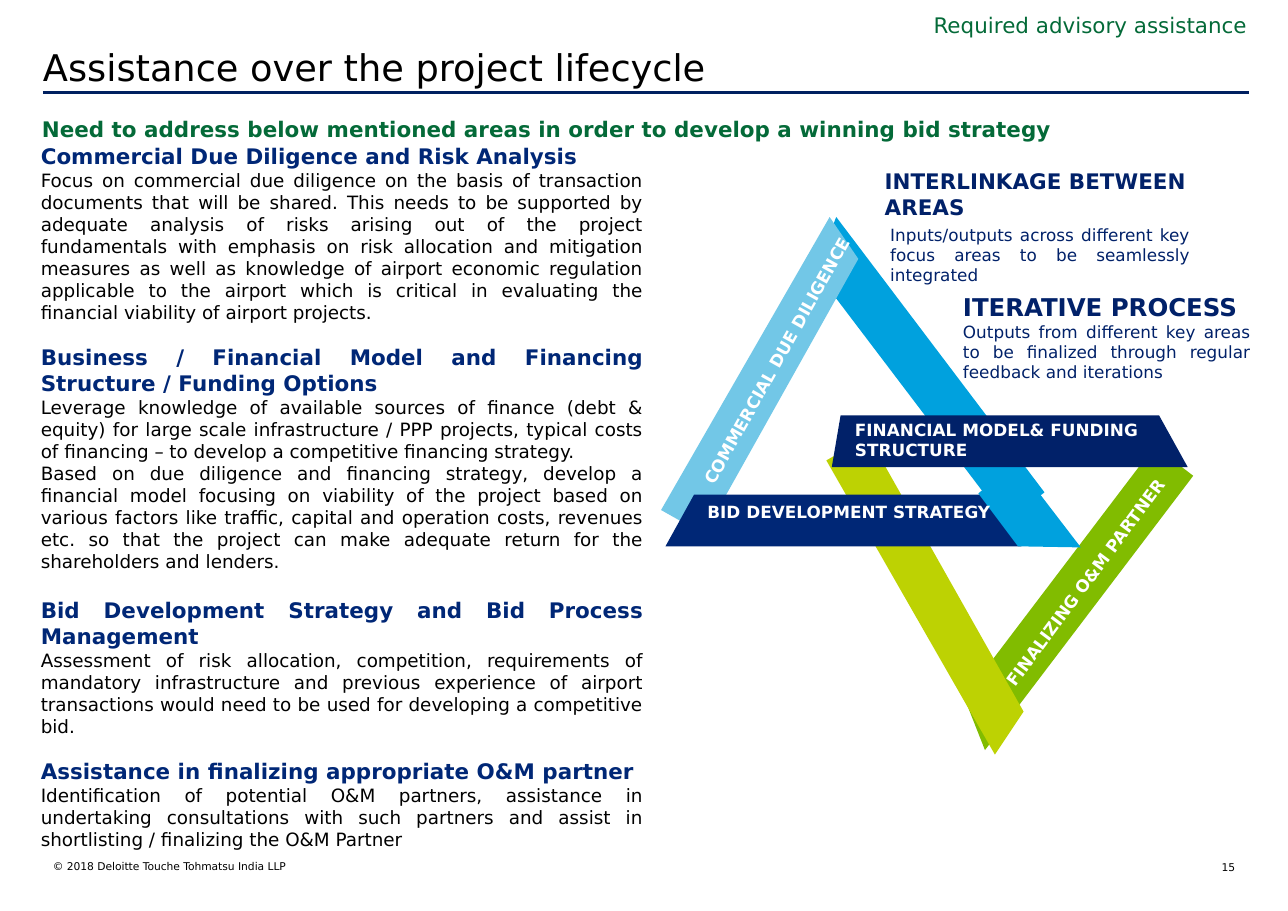
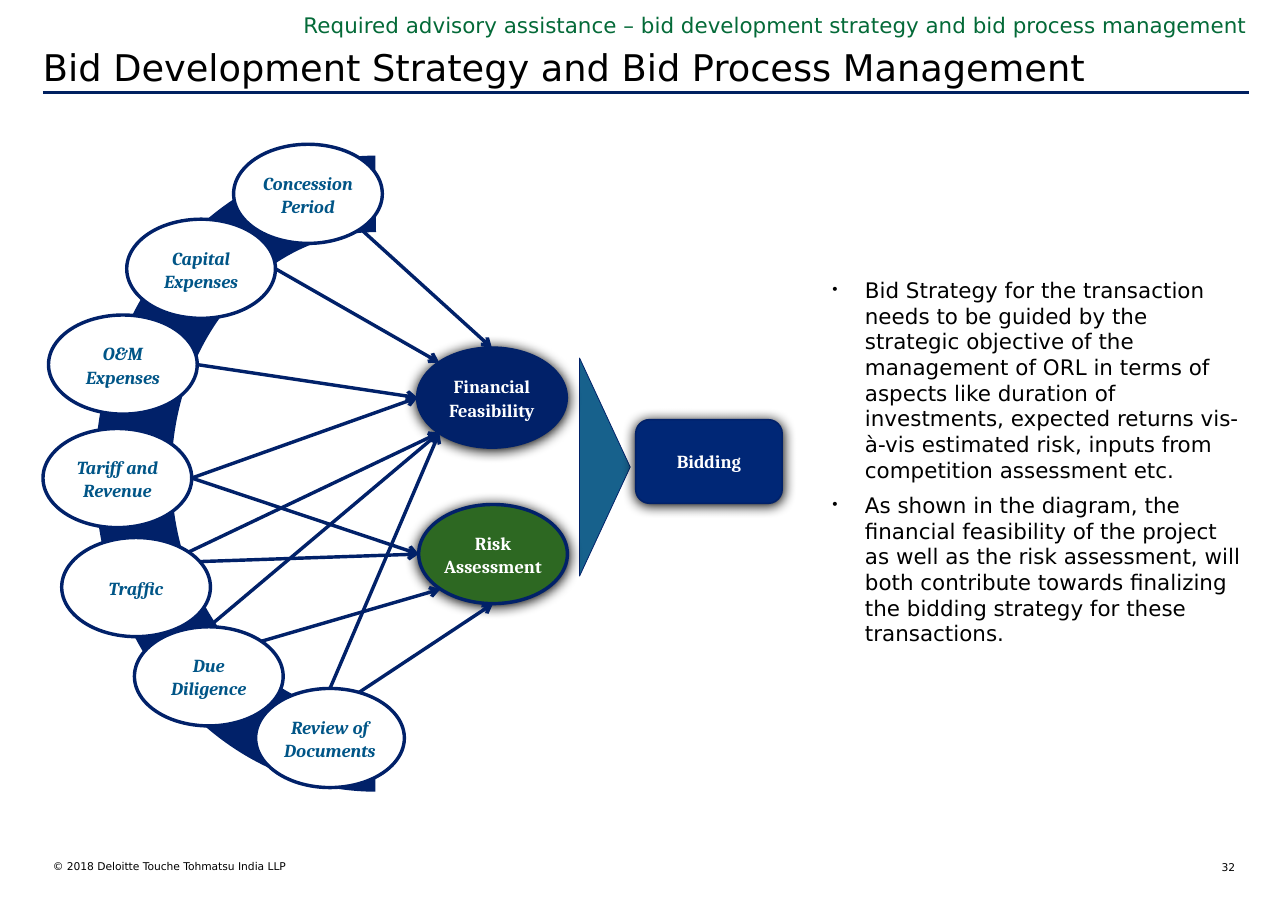
from math import cos, radians, sin

from lxml.etree import SubElement
from pptx import Presentation
from pptx.dml.color import RGBColor
from pptx.enum.shapes import MSO_CONNECTOR, MSO_SHAPE
from pptx.enum.text import MSO_ANCHOR, MSO_AUTO_SIZE, PP_ALIGN
from pptx.oxml.ns import qn
from pptx.util import Pt

PX = 9144  # 100 px to the inch
SANS, SERIF = "DejaVu Sans", "Cambria"

BLACK = RGBColor(0x00, 0x00, 0x00)
WHITE = RGBColor(0xFF, 0xFF, 0xFF)
RULE = RGBColor(0x00, 0x20, 0x60)
NAVY = RGBColor(0x01, 0x21, 0x69)
ROYAL = RGBColor(0x00, 0x27, 0x76)
BLUE = RGBColor(0x00, 0xA1, 0xDE)
SKY = RGBColor(0x72, 0xC7, 0xE7)
TEAL = RGBColor(0x17, 0x61, 0x8C)
INK = RGBColor(0x00, 0x55, 0x87)
FOREST = RGBColor(0x04, 0x6A, 0x38)
MOSS = RGBColor(0x2D, 0x68, 0x22)
GREEN = RGBColor(0x81, 0xBC, 0x00)
LIME = RGBColor(0xBD, 0xD2, 0x03)

# (heading, paragraphs, space before the heading in points)
AREAS = [
    ("Commercial Due Diligence and Risk Analysis",
     ["Focus on commercial due diligence on the basis of transaction documents that will be shared. "
      "This needs to be supported by adequate analysis of risks arising out of the project "
      "fundamentals with emphasis on risk allocation and mitigation measures as well as knowledge "
      "of airport economic regulation applicable to the airport which is critical in evaluating "
      "the financial viability of airport projects."], 0),
    ("Business / Financial Model and Financing Structure / Funding Options",
     ["Leverage knowledge of available sources of finance (debt & equity) for large scale "
      "infrastructure / PPP projects, typical costs of financing – to develop a competitive "
      "financing strategy.",
      "Based on due diligence and financing strategy, develop a financial model focusing on "
      "viability of the project based on various factors like traffic, capital and operation "
      "costs, revenues etc. so that the project can make adequate return for the shareholders "
      "and lenders."], 14),
    ("Bid Development Strategy and Bid Process Management",
     ["Assessment of risk allocation, competition, requirements of mandatory infrastructure and "
      "previous experience of airport transactions would need to be used for developing a "
      "competitive bid."], 16.5),
    ("Assistance in finalizing appropriate O&M partner",
     ["Identification of potential O&M partners, assistance in undertaking consultations with "
      "such partners and assist in shortlisting / finalizing the O&M Partner"], 14),
]

# Ribbons of the two interlocked triangles, from back to front
RIBBONS = [
    (BLUE, [(759, 197), (948, 447), (913, 474), (740, 246)]),
    (SKY, [(600, 463), (753, 197), (779, 235), (639, 485)]),
    (GREEN, [(894, 681), (1083, 432), (1048, 405), (875, 633)]),
    (LIME, [(750, 418), (903, 685), (929, 646), (788, 396)]),
    (ROYAL, [(630, 449), (919, 449), (927, 496), (604, 496)]),
    (BLUE, [(922, 420), (981, 497), (924, 496), (888, 448)]),
    (NAVY, [(1052, 377), (763, 377), (755, 424), (1078, 424)]),
]

# (box, rotation, label)
RIBBON_LABELS = [
    ((570, 305, 284, 18), 299.2, "COMMERCIAL DUE DILIGENCE"),
    ((642, 455, 279, 19), 0, "BID DEVELOPMENT STRATEGY"),
    ((867, 512, 247, 19), 306.6, "FINALIZING O&M PARTNER"),
    ((776, 381, 279, 56), 0, "FINANCIAL MODEL& FUNDING STRUCTURE"),
]

STRATEGY_POINTS = [
    "Bid Strategy for the transaction needs to be guided by the strategic objective of the "
    "management of ORL in terms of aspects like duration of investments, expected returns "
    "vis-à-vis estimated risk, inputs from competition assessment etc.",
    "As shown in the diagram, the financial feasibility of the project as well as the risk "
    "assessment, will both contribute towards finalizing the bidding strategy for these "
    "transactions.",
]

OVAL_W, OVAL_H = 135, 90
INPUTS = {
    "Review of Documents": (232, 625),
    "Due Diligence": (122, 569),
    "Concession Period": (212, 131),
    "Tariff and Revenue": (39, 389),
    "Capital Expenses": (115, 199),
    "O&M Expenses": (44, 286),
    "Traffic": (56, 488),
}
OUTCOMES = {"Financial Feasibility": (379, 316), "Risk Assessment": (380, 458)}
OUTCOME_FILLS = {"Financial Feasibility": NAVY, "Risk Assessment": MOSS}

# (input, angle on its rim, outcome, angle on its rim), clockwise from the right
ARROWS = [
    ("Concession Period", 45, "Financial Feasibility", 270),
    ("Capital Expenses", 0, "Financial Feasibility", 225),
    ("O&M Expenses", 0, "Financial Feasibility", 180),
    ("Tariff and Revenue", 0, "Financial Feasibility", 180),
    ("Traffic", 315, "Financial Feasibility", 135),
    ("Due Diligence", 270, "Financial Feasibility", 135),
    ("Review of Documents", 270, "Financial Feasibility", 135),
    ("Tariff and Revenue", 0, "Risk Assessment", 180),
    ("Traffic", 329, "Risk Assessment", 180),
    ("Due Diligence", 315, "Risk Assessment", 135),
    ("Review of Documents", 293, "Risk Assessment", 90),
]


def emu(values):
    return [round(v * PX) for v in values]


def place(sp, box):
    sp.left, sp.top, sp.width, sp.height = emu(box)


def frame(sp, anchor=MSO_ANCHOR.TOP):
    """Return the shape's text frame, wrapped and without insets."""
    tf = sp.text_frame
    tf.word_wrap = True
    tf.auto_size = MSO_AUTO_SIZE.NONE
    tf.vertical_anchor = anchor
    tf.margin_left = tf.margin_top = tf.margin_right = tf.margin_bottom = 0
    return tf


def write(tf, text, size, color=BLACK, bold=False, italic=False, font=SANS,
          align=PP_ALIGN.LEFT, before=0, spacing=1.0):
    """Append a formatted paragraph, using the first one while it is empty."""
    p = tf.add_paragraph() if tf.text else tf.paragraphs[0]
    p.alignment = align
    p.space_before = Pt(before)
    p.line_spacing = spacing
    r = p.add_run()
    r.text = text
    f = r.font
    f.name, f.size, f.bold, f.italic = font, Pt(size), bold, italic
    f.color.rgb = color
    return p


def set_bullet(p, char=None, indent=0, hang=0):
    """Give a list paragraph its bullet, or none."""
    pPr = p._p.get_or_add_pPr()
    pPr.set("marL", str(indent * PX))
    pPr.set("indent", str(-hang * PX))
    if char:
        SubElement(pPr, qn("a:buSzPct")).set("val", "65000")
        SubElement(pPr, qn("a:buFont")).set("typeface", SANS)
        SubElement(pPr, qn("a:buChar")).set("char", char)
    else:
        SubElement(pPr, qn("a:buNone"))


def add_text(s, box, text, size, rotation=0, **fmt):
    sp = s.shapes.add_textbox(*emu(box))
    sp.rotation = rotation
    tf = frame(sp)
    write(tf, text, size, **fmt)
    return tf


def paint(sp, fill=None, line=None, width=1, glow=False):
    sp.shadow.inherit = False
    if fill is None:
        sp.fill.background()
    else:
        sp.fill.solid()
        sp.fill.fore_color.rgb = fill
    if line is None:
        sp.line.fill.background()
    else:
        sp.line.color.rgb = line
        sp.line.width = Pt(width)
    if glow:
        effects = sp._element.spPr.find(qn("a:effectLst"))
        shadow = SubElement(effects, qn("a:outerShdw"), blurRad=str(Pt(8.5)),
                            dist=str(Pt(1)), dir="5400000", rotWithShape="0")
        SubElement(shadow, qn("a:srgbClr")).set("val", str(BLACK))


def add_shape(s, kind, box, **style):
    sp = s.shapes.add_shape(kind, *emu(box))
    paint(sp, **style)
    return sp


def add_ribbon(s, fill, points):
    builder = s.shapes.build_freeform(*points[0], scale=float(PX))
    builder.add_line_segments(points[1:], close=True)
    paint(builder.convert_to_shape(), fill)


def add_line(s, start, end, color, arrow=False):
    c = s.shapes.add_connector(MSO_CONNECTOR.STRAIGHT, *emu((*start, *end)))
    c.line.color.rgb = color
    c.line.width = Pt(2.25)
    spPr = c._element.spPr
    if arrow:
        SubElement(spPr.find(qn("a:ln")), qn("a:tailEnd")).set("type", "arrow")
    SubElement(spPr, qn("a:effectLst"))


def add_node(s, kind, box, text, fill, color, width=2.25, italic=False, glow=False, spacing=1.06):
    sp = add_shape(s, kind, box, fill=fill, line=NAVY, width=width, glow=glow)
    write(frame(sp, MSO_ANCHOR.MIDDLE), text, 12, color=color, bold=True, italic=italic,
          font=SERIF, align=PP_ALIGN.CENTER, spacing=spacing)


def rim(corner, angle):
    """Return the point of an oval's outline at an angle in degrees."""
    a = radians(angle)
    return (corner[0] + OVAL_W / 2 * (1 + cos(a)), corner[1] + OVAL_H / 2 * (1 + sin(a)))


def add_slide(prs, layout, section, title, page):
    """Add a slide with the section name, title, rule and footer."""
    s = prs.slides.add_slide(layout)
    write(frame(s.shapes.title), title, 24)
    add_text(s, (232, 11, 900, 24), section, 14, color=FOREST, align=PP_ALIGN.RIGHT)
    add_line(s, (39, 84), (1134, 84), RULE)
    add_text(s, (48, 781, 513, 24), "© 2018 Deloitte Touche Tohmatsu India LLP", 7)
    add_text(s, (1091, 781, 30, 12), page, 7, align=PP_ALIGN.RIGHT)
    return s


def build_lifecycle(prs, layout):
    s = add_slide(prs, layout, "Required advisory assistance",
                  "Assistance over the project lifecycle", "15")
    add_text(s, (38, 105, 1100, 24),
             "Need to address below mentioned areas in order to develop a winning bid strategy",
             14, color=FOREST, bold=True)

    body = s.placeholders[1]
    place(body, (37, 130, 547, 670))
    tf = frame(body)
    for heading, paragraphs, gap in AREAS:
        set_bullet(write(tf, heading, 14, color=ROYAL, bold=True,
                         align=PP_ALIGN.JUSTIFY, before=gap))
        for text in paragraphs:
            set_bullet(write(tf, text, 12, align=PP_ALIGN.JUSTIFY))

    for fill, points in RIBBONS:
        add_ribbon(s, fill, points)
    for box, rotation, label in RIBBON_LABELS:
        add_text(s, box, label, 11, rotation, color=WHITE, bold=True)

    add_text(s, (803, 153, 286, 47), "INTERLINKAGE BETWEEN AREAS", 14, color=NAVY, bold=True)
    add_text(s, (808, 204, 272, 56),
             "Inputs/outputs across different key focus areas to be seamlessly integrated",
             11, color=NAVY, align=PP_ALIGN.JUSTIFY)
    tf = add_text(s, (874, 265, 261, 82), "ITERATIVE PROCESS", 16, color=NAVY, bold=True)
    write(tf, "Outputs from different key areas to be finalized through regular feedback and "
          "iterations", 11, color=NAVY, align=PP_ALIGN.JUSTIFY)


def build_bid_strategy(prs, layout):
    s = add_slide(prs, layout,
                  "Required advisory assistance – bid development strategy and bid process management",
                  "Bid Development Strategy and Bid Process Management", "32")
    body = s.placeholders[1]
    place(body, (744, 244, 385, 350))
    tf = frame(body, MSO_ANCHOR.MIDDLE)
    for i, point in enumerate(STRATEGY_POINTS):
        set_bullet(write(tf, point, 14, before=6 if i else 0), "•", 41, 31)

    arc = add_shape(s, MSO_SHAPE.ARC, (121, 176, 440, 508), line=NAVY, width=50)
    arc.adjustments[0], arc.adjustments[1] = 54, 162  # 90 and 270 degrees
    funnel = add_shape(s, MSO_SHAPE.ISOSCELES_TRIANGLE, (450, 401, 198, 46),
                       fill=TEAL, line=NAVY, width=0.5)
    funnel.rotation = 90

    for name, corner in INPUTS.items():
        add_node(s, MSO_SHAPE.OVAL, (*corner, OVAL_W, OVAL_H), name, WHITE, INK, italic=True)
    for name, corner in OUTCOMES.items():
        add_node(s, MSO_SHAPE.OVAL, (*corner, OVAL_W, OVAL_H), name, OUTCOME_FILLS[name],
                 WHITE, glow=True)
    add_node(s, MSO_SHAPE.ROUNDED_RECTANGLE, (577, 381, 133, 76), "Bidding", ROYAL, WHITE,
             width=1, glow=True, spacing=1.0)
    for source, leave, target, arrive in ARROWS:
        add_line(s, rim(INPUTS[source], leave), rim(OUTCOMES[target], arrive), NAVY, arrow=True)


def main():
    prs = Presentation()
    prs.slide_width, prs.slide_height = emu((1169, 827))
    layout = prs.slide_layouts[1]
    place(layout.placeholders[0], (39, 41, 1095, 42))
    build_lifecycle(prs, layout)
    build_bid_strategy(prs, layout)
    prs.save("out.pptx")


if __name__ == "__main__":
    main()
